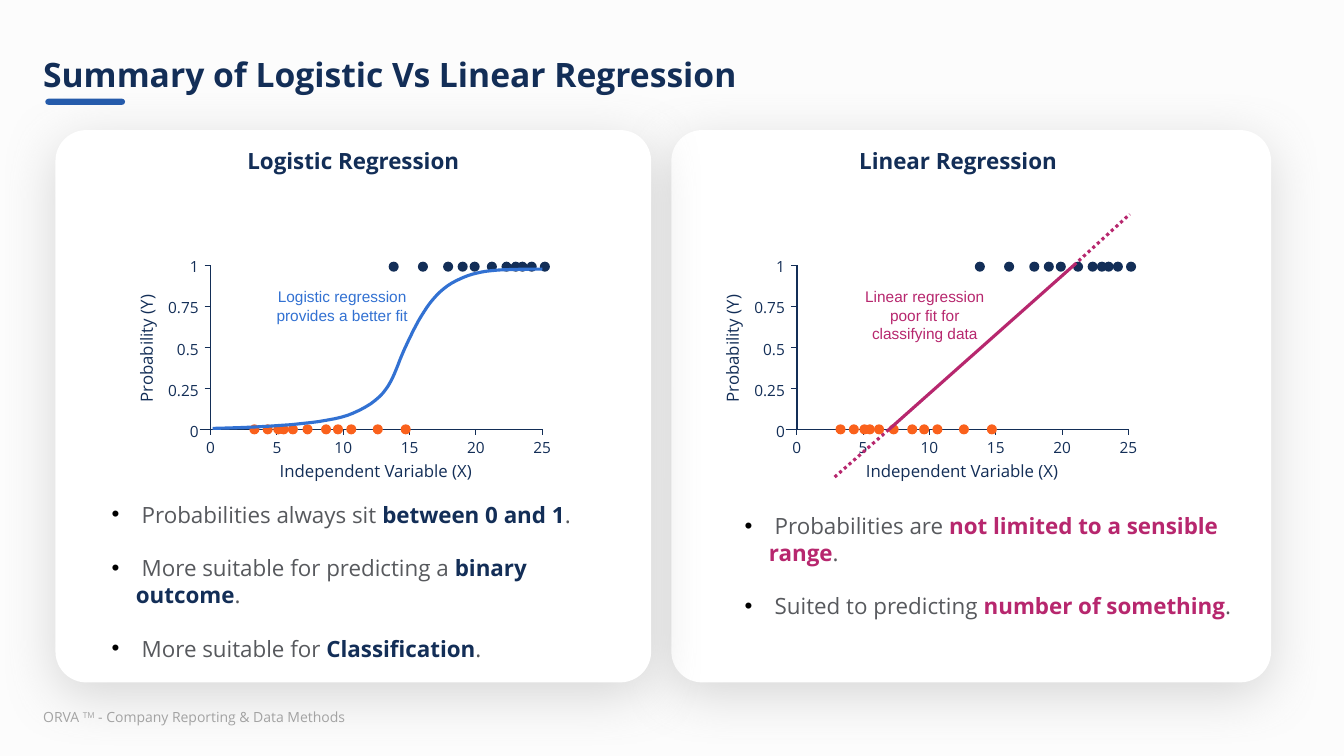
from lxml.etree import SubElement
from pptx import Presentation
from pptx.dml.color import RGBColor
from pptx.enum.dml import MSO_LINE
from pptx.enum.shapes import MSO_CONNECTOR, MSO_SHAPE
from pptx.enum.text import MSO_ANCHOR, PP_ALIGN
from pptx.oxml.ns import qn
from pptx.util import Inches, Pt

CELL = 0.1
NAVY, ORANGE, BLUE, PINK = "132E57", "FA611C", "3271D2", "B7276E"
GREY, BAR, PALE = "57595D", "255BAC", "A5A5A5"
LEFT, MID, RIGHT = PP_ALIGN.LEFT, PP_ALIGN.CENTER, PP_ALIGN.RIGHT
HIGH = [13.8, 16, 17.9, 19, 19.9, 21.2, 22.3, 23, 23.5, 24.2, 25.2]
LOW = [3.3, 4.3, 5.1, 5.5, 6.2, 7.3, 8.7, 9.6, 10.6, 12.6, 14.7]
CURVE = [(21.1, 42.5), (25.7, 42.4), (32.6, 42.1), (35, 41),
         (38.8, 39.4), (38.9, 37.4), (40.1, 34.7),
         (41.3, 32.1), (42.6, 29.4), (44.8, 28.1),
         (47.1, 26.8), (48.7, 26.7), (53.8, 26.7)]


def grid(*cells):
    return [Inches(round(n * CELL, 3)) for n in cells]


def paint(tone):
    return RGBColor.from_string(tone)


def text(slide, at, paras, size=11, tone=NAVY, face="Open Sans", bold=False,
         align=MID, pitch=None, gap=0, inset=(1, 0.5), anchor=MSO_ANCHOR.TOP,
         turn=0, dots=False):
    box = slide.shapes.add_textbox(*grid(*at))
    box.rotation = turn
    frame = box.text_frame
    frame.word_wrap = True
    frame.vertical_anchor = anchor
    frame.margin_left, frame.margin_top = grid(*inset)
    frame.margin_right, frame.margin_bottom = grid(*inset)
    for k, runs in enumerate(paras):
        para = frame.add_paragraph() if k else frame.paragraphs[0]
        para.alignment = align
        if pitch:
            para.line_spacing = pitch
        if k and gap:
            para.space_before = Pt(gap)
        if dots:
            bullet(para)
        for part in runs:
            words, look = (part, {}) if isinstance(part, str) else part
            run = para.add_run()
            run.text = words
            run.font.name = face
            run.font.size = Pt(size)
            run.font.bold = look.get("bold", bold)
            run.font.color.rgb = paint(look.get("tone", tone))
            if "lift" in look:
                run.font._element.set("baseline", str(look["lift"] * 1000))


def bullet(para):
    props = para._p.get_or_add_pPr()
    props.set("marL", str(Inches(0.47)))
    props.set("indent", str(-Inches(0.24)))
    tint = SubElement(props, qn("a:buClr"))
    SubElement(tint, qn("a:srgbClr"), val="000000")
    SubElement(props, qn("a:buFont"), typeface="Arial")
    SubElement(props, qn("a:buChar"), char="•")


def shape(slide, kind, at, tone, bend=None):
    form = slide.shapes.add_shape(kind, *grid(*at))
    form.shadow.inherit = False
    form.fill.solid()
    form.fill.fore_color.rgb = paint(tone)
    form.line.fill.background()
    if bend is not None:
        form.adjustments[0] = bend
    return form


def card(slide, at):
    form = shape(slide, MSO_SHAPE.ROUNDED_RECTANGLE, at, "FFFFFF", 0.056)
    glow = form._element.spPr.find(qn("a:effectLst"))
    shade = SubElement(glow, qn("a:outerShdw"), blurRad=str(Pt(39)),
                       dist=str(Pt(9)), dir="5400000", rotWithShape="0")
    tint = SubElement(shade, qn("a:srgbClr"), val="808080")
    SubElement(tint, qn("a:alpha"), val="29000")


def line(slide, start, end, tone=NAVY, width=0.75, dash=None):
    wire = slide.shapes.add_connector(MSO_CONNECTOR.STRAIGHT, *grid(*start, *end))
    wire.line.color.rgb = paint(tone)
    wire.line.width = Pt(width)
    if dash:
        wire.line.dash_style = dash
    SubElement(wire._element.spPr, qn("a:effectLst"))


def bezier(knots, steps=16):
    track = [knots[0]]
    for k in range(0, len(knots) - 1, 3):
        a, b, c, d = knots[k:k + 4]
        for n in range(1, steps + 1):
            t = n / steps
            s = 1 - t
            track.append(tuple(s**3 * p + 3 * s * s * t * q + 3 * s * t * t * r + t**3 * u
                               for p, q, r, u in zip(a, b, c, d)))
    return track


def curve(slide, knots, tone):
    track = [grid(*spot) for spot in bezier(knots)]
    pen = slide.shapes.build_freeform(*track[0])
    pen.add_line_segments(track[1:], close=False)
    form = pen.convert_to_shape()
    form.shadow.inherit = False
    form.fill.background()
    form.line.color.rgb = paint(tone)
    form.line.width = Pt(2.25)


def plot(slide, left, base=42.6):
    def spot(x, y):
        return left + x * 1.316, base - y * 16.3

    text(slide, (left + 1.7, 45.2, 29.4, 3), [["Independent Variable (X)"]], size=12)
    text(slide, (left - 21.1, 33.1, 29.4, 3), [["Probability (Y)"]], size=12, turn=270)
    line(slide, spot(0, 1), spot(0, 0), width=1)
    line(slide, spot(0, 0), spot(25, 0), width=1)
    for mark in (0, 0.25, 0.5, 0.75, 1):
        x, y = spot(0, mark)
        line(slide, (x - 0.6 - (mark == 0) * 0.5, y), (x, y))
        text(slide, (x - 5.5, y - 1.25, 5.3, 2.9), [[str(mark)]], align=RIGHT)
    for mark in range(0, 26, 5):
        x, y = spot(mark, 0)
        line(slide, (x, y), (x, y + 0.6))
        text(slide, (x - 2.15, y + 0.4, 4.3, 2.3), [[str(mark)]])
    for group, y, tone in ((HIGH, 0.99, NAVY), (LOW, 0, ORANGE)):
        for value in group:
            x, top = spot(value, y)
            shape(slide, MSO_SHAPE.OVAL, (x - 0.5, top - 0.5, 1, 1), tone)
    return spot


def points(slide, at, paras, tone):
    runs = [[head, (key, dict(bold=True, tone=tone)), "."] for head, key in paras]
    text(slide, at, runs, size=16, tone=GREY, align=LEFT, gap=19, dots=True)


def main():
    deck = Presentation()
    deck.slide_width, deck.slide_height = grid(133.33, 75)
    slide = deck.slides.add_slide(deck.slide_layouts[6])
    slide.background.fill.solid()
    slide.background.fill.fore_color.rgb = paint("FCFCFC")

    text(slide, (3.3, 69.8, 34.5, 2.7),
         [["ORVA ", ("TM", dict(lift=30)), " - Company Reporting & Data Methods"]],
         size=10, tone=PALE, align=LEFT)
    shape(slide, MSO_SHAPE.ROUNDED_RECTANGLE, (4.5, 9.8, 7.9, 0.6), BAR, 0.5)
    text(slide, (3.3, 3.8, 126.5, 7.7), [["Summary of Logistic Vs Linear Regression"]],
         size=24, bold=True, align=LEFT, pitch=0.9, anchor=MSO_ANCHOR.MIDDLE)

    card(slide, (66.6, 12.9, 59.5, 54.8))
    card(slide, (5.5, 12.9, 59.1, 54.8))
    for left, name in ((18.4, "Logistic Regression"), (78.4, "Linear Regression")):
        text(slide, (left, 14.1, 33.3, 11.7), [[name]], size=16, bold=True,
             pitch=1.2, inset=(0, 0))

    plot(slide, 20.9)
    text(slide, (26.4, 28, 15.1, 4.7), [["Logistic regression provides a better fit"]],
         tone=BLUE, face="Arial")
    curve(slide, CURVE, BLUE)
    points(slide, (7.8, 49.2, 53.1, 14.5),
           [(" Probabilities always sit ", "between 0 and 1"),
            (" More suitable for predicting a ", "binary outcome"),
            (" More suitable for ", "Classification")], NAVY)

    spot = plot(slide, 79.05)
    text(slide, (84.2, 28, 15.1, 6.6), [["Linear regression poor fit for classifying data"]],
         tone=PINK, face="Arial")
    trend = [spot(2.85, -0.29), spot(6.95, 0), spot(20.9, 1), spot(25.1, 1.31)]
    for start, end, dash in zip(trend, trend[1:], (MSO_LINE.ROUND_DOT, None, MSO_LINE.ROUND_DOT)):
        line(slide, start, end, PINK, 2.25, dash)
    points(slide, (70.6, 50.3, 53.1, 14.5),
           [(" Probabilities are ", "not limited to a sensible range"),
            (" Suited to predicting ", "number of something")], PINK)

    deck.save("out.pptx")


if __name__ == "__main__":
    main()
